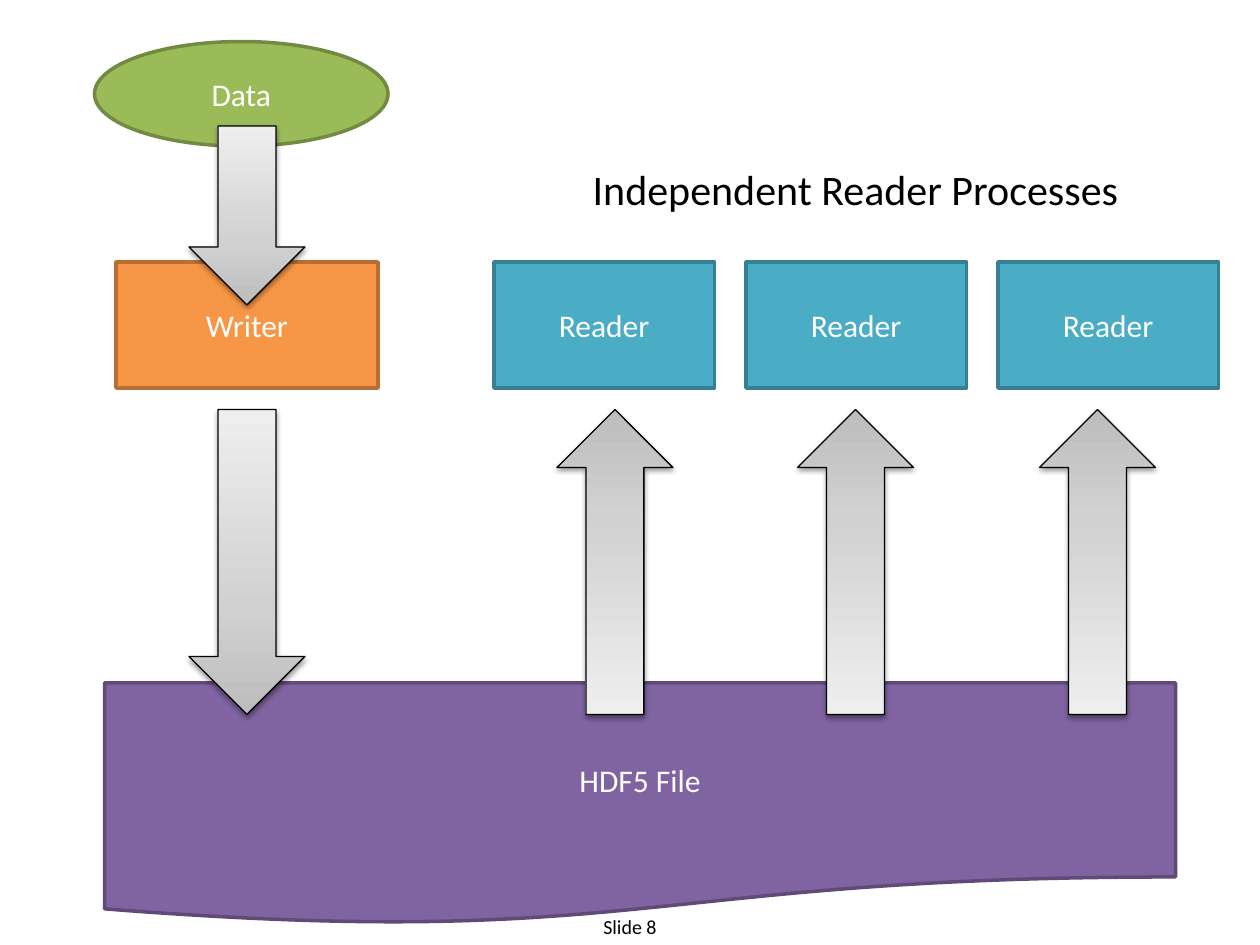
import pptx
import pptx.util
import pptx.dml.color
import pptx.enum.shapes
import pptx.enum.text
import pptx.oxml
import pptx.oxml.ns

Inches = pptx.util.Inches
Pt = pptx.util.Pt
KIND = pptx.enum.shapes.MSO_SHAPE
HUE = {
    "text": "000000", "label": "FFFFFF", "edge": "000000",
    "file": "8064A2", "file line": "5F4A78",
    "writer": "F79646", "writer line": "B76F34",
    "reader": "4BACC6", "reader line": "377F92",
    "data": "9BBB59", "data line": "738A42",
    "dark": "BDBDBD", "mid": "D1D1D1", "light": "EEEEEE",
}
SHADE = """<a:effectLst %s><a:outerShdw blurRad="40000" dist="20000" dir="5400000"
rotWithShape="0"><a:srgbClr val="000000"><a:alpha val="38000"/></a:srgbClr>
</a:outerShdw></a:effectLst>"""
GRAD = """<a:gradFill %s rotWithShape="1"><a:gsLst>{}</a:gsLst>
<a:lin ang="16200000" scaled="0"/></a:gradFill>"""
STOP = '<a:gs pos="{}"><a:srgbClr val="{}"/></a:gs>'


def paint(name):
    return pptx.dml.color.RGBColor.from_string(HUE[name])


def parse_xml(text):
    return pptx.oxml.parse_xml(text % pptx.oxml.ns.nsdecls("a"))


def write(frame, text, size, hue):
    frame.word_wrap = True
    line = frame.paragraphs[0]
    line.text = text
    line.alignment = pptx.enum.text.PP_ALIGN.CENTER
    line.font.name = "Calibri"
    line.font.size = Pt(size)
    line.font.color.rgb = paint(hue)
    return line


def add_text(slide, box, text, size):
    area = slide.shapes.add_textbox(*map(Inches, box))
    return write(area.text_frame, text, size, "text")


def add_block(slide, kind, box, text, hue):
    block = slide.shapes.add_shape(kind, *map(Inches, box))
    block.shadow.inherit = False
    block.fill.solid()
    block.fill.fore_color.rgb = paint(hue)
    block.line.color.rgb = paint(hue + " line")
    block.line.width = Pt(2)
    block.text_frame.vertical_anchor = pptx.enum.text.MSO_ANCHOR.MIDDLE
    write(block.text_frame, text, 18, "label")


def add_arrow(slide, left, top, tall, turn=0):
    arrow = slide.shapes.add_shape(
        KIND.DOWN_ARROW, Inches(left), Inches(top), Inches(0.92), Inches(tall))
    arrow.rotation = turn
    arrow.line.color.rgb = paint("edge")
    arrow.line.width = Pt(0.75)
    # Gradient goes after the outline shape, shadow after the line
    stops = "".join(STOP.format(at, HUE[name]) for at, name in
                    ((0, "dark"), (35000, "mid"), (100000, "light")))
    props = arrow._element.spPr
    props.insert(2, parse_xml(GRAD.format(stops)))
    props.append(parse_xml(SHADE))


def add_readers(slide, left, top):
    """Reader boxes in a row, under their heading."""
    for i in range(3):
        add_block(slide, KIND.RECTANGLE, (left + 2 * i, top, 1.75, 1),
                  "Reader", "reader")
    add_text(slide, (left + 0.08, top - 0.83, 5.58, 0.67),
             "Independent Reader Processes", 24)


def add_flow(slide, left, top):
    """Arrows into the file and out of it to the readers."""
    add_arrow(slide, left, top, 2.42)
    for i in range(3):
        add_arrow(slide, round(left + 2.92 + 1.915 * i, 2), top, 2.42, 180)


def add_source(slide, left, top):
    """Data and its arrow down to the writer."""
    add_block(slide, KIND.OVAL, (left, top, 2.33, 0.83), "Data", "data")
    add_arrow(slide, left + 0.75, top + 0.67, 1.42)


def main():
    deck = pptx.Presentation()
    deck.slide_width, deck.slide_height = Inches(10), Inches(7.5)
    slide = deck.slides.add_slide(deck.slide_layouts[6])

    # Slide number
    foot = add_text(slide, (4, 7.25, 2, 0.25), "Slide 8", 11.4)
    foot.line_spacing = 0.8

    # File, writer and readers
    add_block(slide, KIND.FLOWCHART_DOCUMENT, (0.83, 5.42, 8.5, 1.92),
              "HDF5 File", "file")
    add_block(slide, KIND.RECTANGLE, (0.92, 2.08, 2.08, 1), "Writer", "writer")
    add_readers(slide, 3.92, 2.08)

    # Arrows and data
    add_flow(slide, 1.5, 3.25)
    add_source(slide, 0.75, 0.33)
    deck.save("out.pptx")


main()
